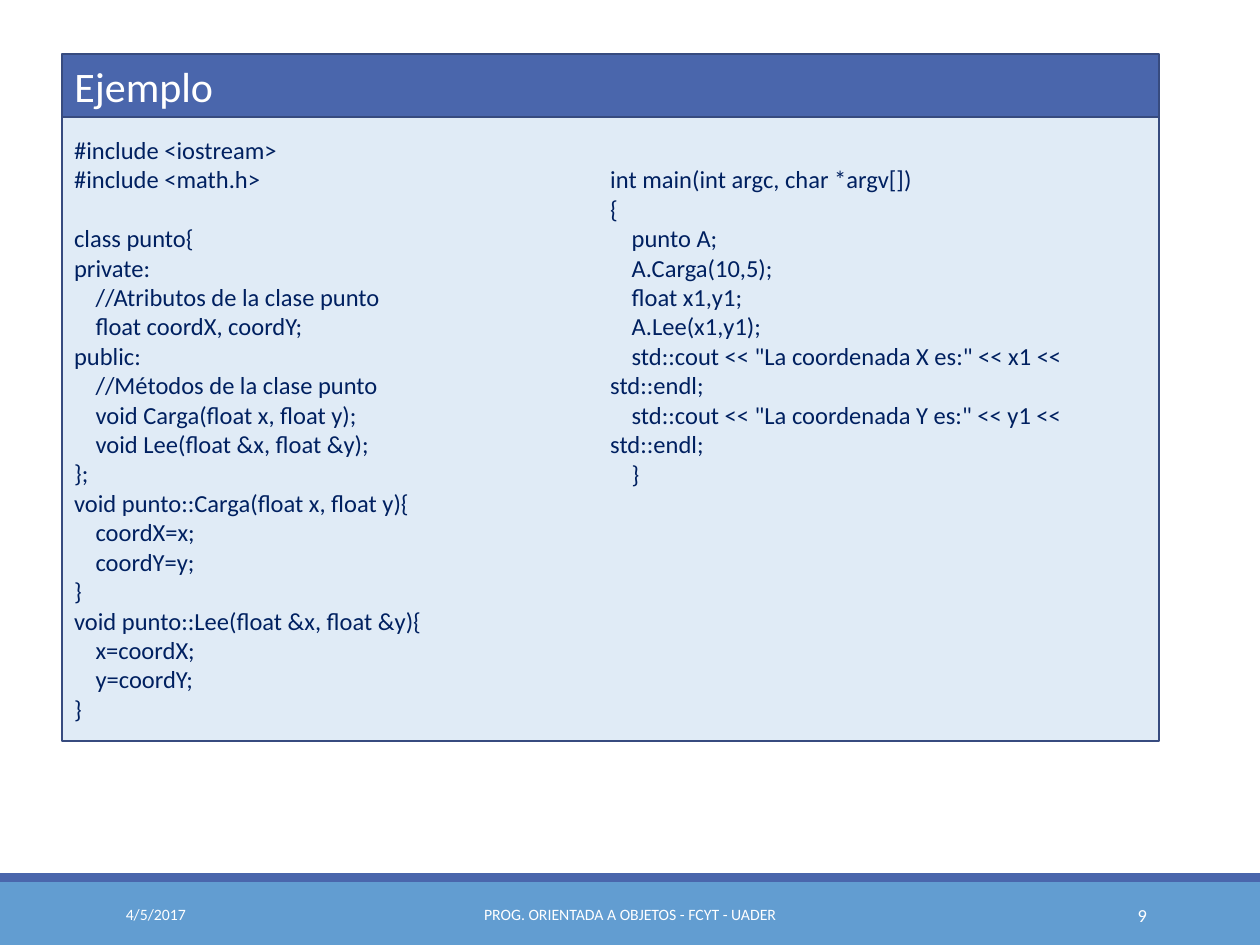
import pptx
import pptx.util
import pptx.dml.color
import pptx.enum.shapes
import pptx.enum.text

Inches = pptx.util.Inches
Pt = pptx.util.Pt
RGB = pptx.dml.color.RGBColor
Align = pptx.enum.text.PP_ALIGN
Anchor = pptx.enum.text.MSO_ANCHOR

WHITE = RGB(0xFF, 0xFF, 0xFF)
NAVY = RGB(0x00, 0x20, 0x60)
BLUE = RGB(0x4A, 0x66, 0xAC)
EDGE = RGB(0x37, 0x4B, 0x7F)
PALE = RGB(0xE0, 0xEB, 0xF6)
SKY = RGB(0x62, 0x9D, 0xD1)

LINE = 0.235  # height of one line of code
STEP = 0.17   # indent of one code level

CLASS = """#include <iostream>
#include <math.h>

class punto{
private:
    //Atributos de la clase punto
    float coordX, coordY;
public:
    //Métodos de la clase punto
    void Carga(float x, float y);
    void Lee(float &x, float &y);
};
void punto::Carga(float x, float y){
    coordX=x;
    coordY=y;
}
void punto::Lee(float &x, float &y){
    x=coordX;
    y=coordY;
}"""

MAIN = """int main(int argc, char *argv[])
{
    punto A;
    A.Carga(10,5);
    float x1,y1;
    A.Lee(x1,y1);
    std::cout << "La coordenada X es:" << x1 << std::endl;
    std::cout << "La coordenada Y es:" << y1 << std::endl;
    }"""


def write(shape, text, size=14, color=WHITE, align=Align.LEFT, anchor=Anchor.MIDDLE):
    """Fill a shape with text; leading blanks become indents, empty lines become space."""
    frame = shape.text_frame
    frame.word_wrap = True
    frame.auto_size = pptx.enum.text.MSO_AUTO_SIZE.NONE
    frame.vertical_anchor = anchor
    par, gap = None, 0
    for line in text.split("\n"):
        if not line:
            gap += LINE
            continue
        par = frame.add_paragraph() if par else frame.paragraphs[0]
        par.alignment = align
        if gap:
            par.space_before = Inches(gap)
            gap = 0
        code = line.lstrip()
        if code != line:
            par._p.get_or_add_pPr().set("indent", str(Inches(STEP)))
        run = par.add_run()
        run.text = code
        run.font.name = "Calibri"
        run.font.size = Pt(size)
        run.font.color.rgb = color


def place(shape, x, y, w, h):
    shape.left, shape.top = Inches(x), Inches(y)
    shape.width, shape.height = Inches(w), Inches(h)


def paint(shape, fill, edge=None):
    shape.fill.solid()
    shape.fill.fore_color.rgb = fill
    if edge is None:
        shape.line.fill.background()
    else:
        shape.line.color.rgb = edge
        shape.line.width = Pt(1.25)


def block(slide, x, y, w, h, fill, edge=None):
    kind = pptx.enum.shapes.MSO_SHAPE.RECTANGLE
    shape = slide.shapes.add_shape(kind, Inches(x), Inches(y), Inches(w), Inches(h))
    shape.shadow.inherit = False
    paint(shape, fill, edge)


def label(slide, x, y, w, h, text, **form):
    box = slide.shapes.add_textbox(Inches(x), Inches(y), Inches(w), Inches(h))
    write(box, text, **form)


def header(slide, x, y, w, h):
    title = slide.shapes.title
    place(title, x, y, w, h)
    paint(title, BLUE, EDGE)
    write(title, "Ejemplo", size=24)


def listing(slide, x, y, w, h):
    block(slide, x, y, w, h, PALE, EDGE)
    # Two columns share the panel inside its 0.1 inch margins
    pad = 0.1
    col = (w - 2 * pad) / 2
    top = y + 0.09
    form = dict(color=NAVY, anchor=Anchor.TOP)
    for i, (code, drop) in enumerate([(CLASS, 0), (MAIN, LINE)]):
        label(slide, x + i * col, top + drop, col + 2 * pad,
              y + h - top - drop, code, **form)


def footer(slide, x, y, w, h):
    strip = 0.07
    block(slide, x, y + strip, w, h - strip, SKY)
    block(slide, x, y, w, strip, BLUE)
    # Date, course and page number
    row, tall = y + 0.13, 0.4
    label(slide, x + 0.9, row, 2.03, tall, "4/5/2017", size=9)
    label(slide, x + 3.02, row, 3.96, tall,
          "PROG. ORIENTADA A OBJETOS - FCYT - UADER", size=9, align=Align.CENTER)
    label(slide, x + 8.12, row, 1.08, tall, "9", size=10.5, align=Align.RIGHT)


def main():
    deck = pptx.Presentation()
    deck.slide_width, deck.slide_height = Inches(10), Inches(7.5)
    slide = deck.slides.add_slide(deck.slide_layouts.get_by_name("Title Only"))
    footer(slide, 0, 6.93, 10, 0.57)
    header(slide, 0.49, 0.43, 8.71, 0.5)
    listing(slide, 0.49, 0.93, 8.71, 4.95)
    deck.save("out.pptx")


if __name__ == "__main__":
    main()
